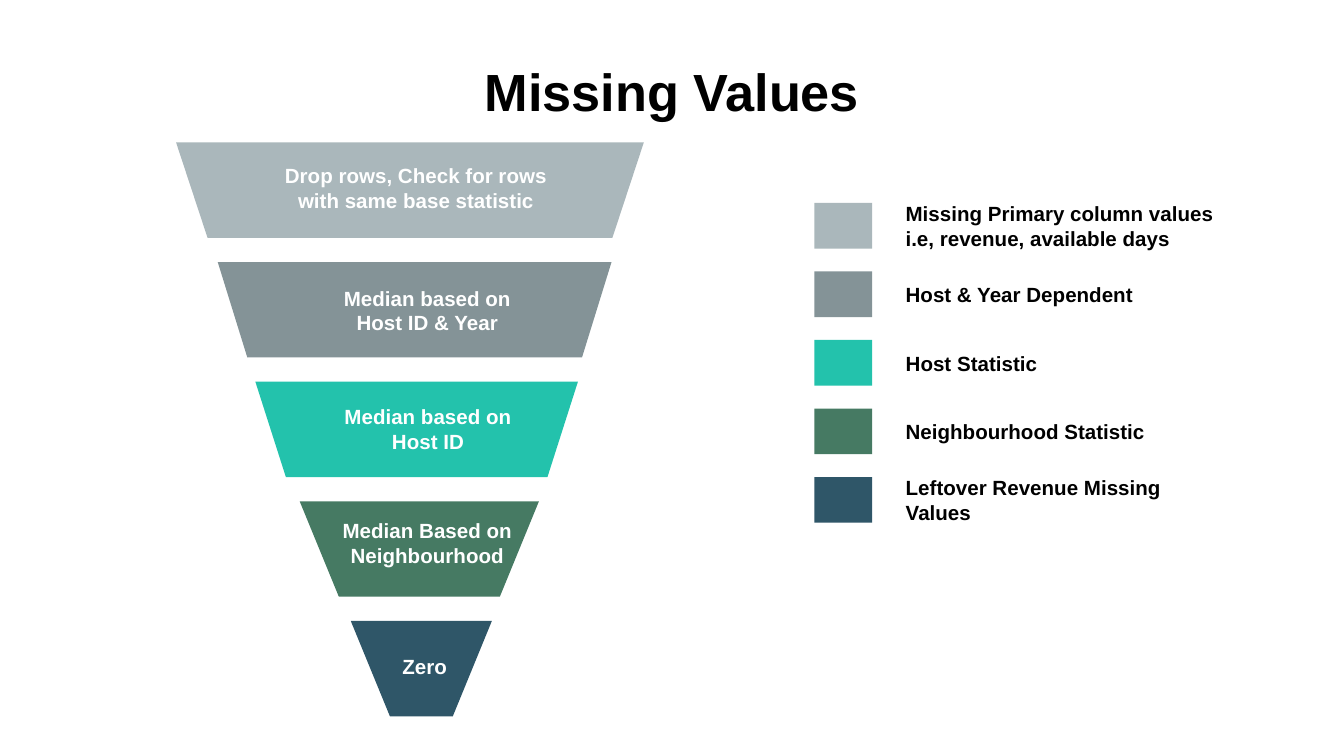
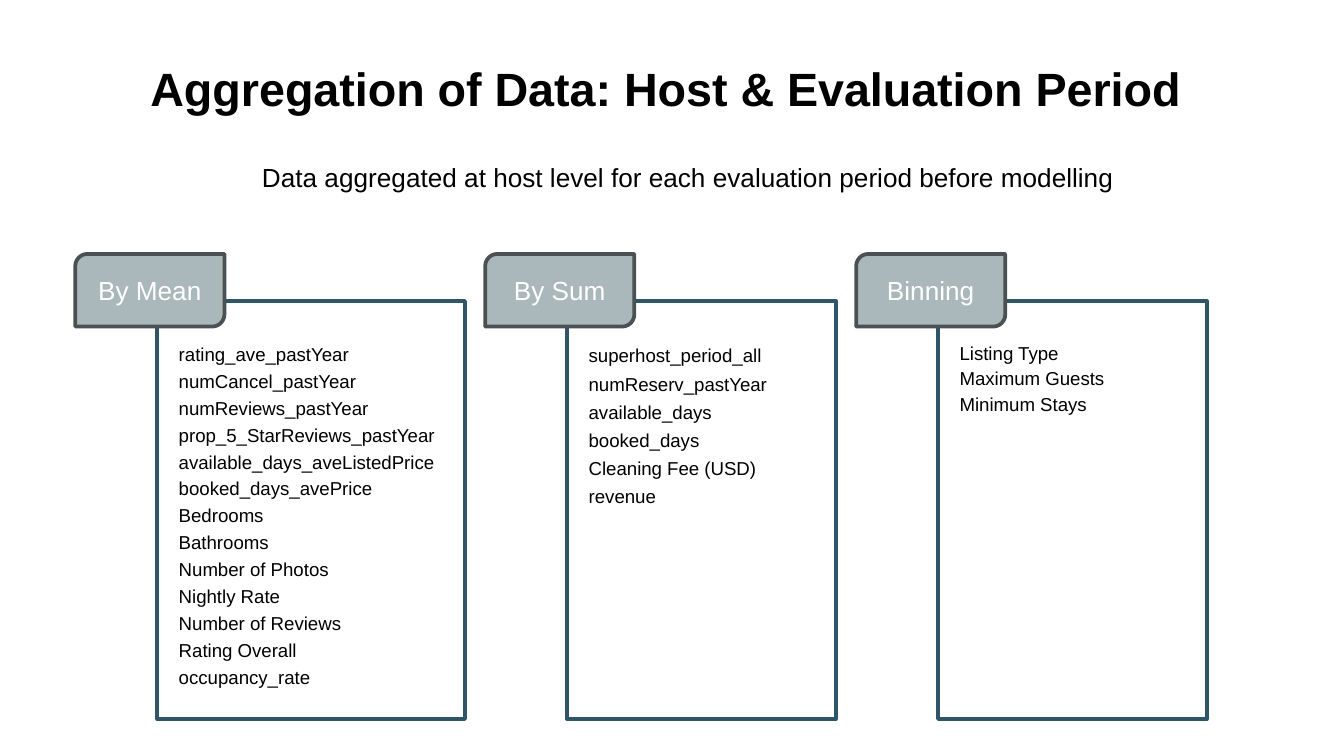
from pptx import Presentation
from pptx.dml.color import RGBColor
from pptx.enum.shapes import MSO_SHAPE
from pptx.enum.text import MSO_ANCHOR, MSO_AUTO_SIZE, PP_ALIGN
from pptx.oxml.ns import qn
from pptx.util import Inches, Pt

RECT, TRAP = MSO_SHAPE.RECTANGLE, MSO_SHAPE.TRAPEZOID
TAG = MSO_SHAPE.ROUND_2_DIAG_RECTANGLE
LEFT, MID = PP_ALIGN.LEFT, PP_ALIGN.CENTER
CENTRE, BOTTOM = MSO_ANCHOR.MIDDLE, MSO_ANCHOR.BOTTOM
NO_FIT = MSO_AUTO_SIZE.NONE
NO_GRID = "{2D5ABB26-0587-4C30-8999-92F81FD0307C}"

WIDE = 10
HIGH = WIDE * 9 / 16
FONT, BLACK, WHITE = "Arial", "000000", "FFFFFF"
SILVER, GREY, TEAL, GREEN, NAVY = "AAB7BB", "849397", "23C2AC", "467A63", "2F5668"
EDGE = "4B5052"

# colour, bar left and width, slant, label, label left, middle and width
FUNNEL = [
    (SILVER, 1.31, 3.48, .33, "Drop rows, Check for rows with same base statistic",
     1.94, 1.4, 2.31),
    (GREY, 1.62, 2.93, .31, "Median based on Host ID & Year", 2.4, 2.31, 1.56),
    (TEAL, 1.9, 2.4, .32, "Median based on Host ID", 2.36, 3.19, 1.65),
    (GREEN, 2.23, 1.78, .41, "Median Based on Neighbourhood", 2.4, 4.04, 1.56),
    (NAVY, 2.61, 1.05, .41, "Zero", 2.66, 4.96, 1),
]
BAR_TOP, BAR_STEP, BAR_H, LABEL_H = 1.06, .89, .71, .4

# colour, text, text width, lines
LEGEND = [
    (SILVER, "Missing Primary column values\ni.e, revenue, available days", 2.57, 2),
    (GREY, "Host & Year Dependent", 2.03, 1),
    (TEAL, "Host Statistic", 1.29, 1),
    (GREEN, "Neighbourhood Statistic", 2.13, 1),
    (NAVY, "Leftover Revenue Missing Values", 2.22, 2),
]
KEY_X, KEY_TOP, KEY_STEP, KEY_W, KEY_H = 6.06, 1.51, .51, .43, .34

# tag, panel left and width, list width, row heights, list
GROUPS = [
    ("By Mean", 1.17, 2.29, 2.14, [.2] * 13, [
        "rating_ave_pastYear", "numCancel_pastYear", "numReviews_pastYear",
        "prop_5_StarReviews_pastYear", "available_days_aveListedPrice",
        "booked_days_avePrice", "Bedrooms", "Bathrooms", "Number of Photos",
        "Nightly Rate", "Number of Reviews", "Rating Overall", "occupancy_rate"]),
    ("By Sum", 4.22, 2, 1.72, [.21] * 6 + [.19] * 7, [
        "superhost_period_all", "numReserv_pastYear", "available_days",
        "booked_days", "Cleaning Fee (USD)", "revenue"]),
    ("Binning", 6.98, 2, 1.72, [.19] * 7, [
        "Listing Type", "Maximum Guests", "Minimum Stays"]),
]
PANEL_TOP, PANEL_H = 2.24, 3.11


def rgb(code):
    return RGBColor.from_string(code)


def put(item, values):
    for name, value in values.items():
        setattr(item, name, value)


def write(frame, text, size, color=BLACK, bold=False, align=LEFT):
    for num, line in enumerate(text.split("\n")):
        para = frame.add_paragraph() if num else frame.paragraphs[0]
        para.alignment = align
        run = para.add_run()
        run.text = line
        put(run.font, {"name": FONT, "size": Pt(size), "bold": bold})
        run.font.color.rgb = rgb(color)


def label(slide, x, y, w, h, text, size, **look):
    frame = slide.shapes.add_textbox(*map(Inches, (x, y, w, h))).text_frame
    put(frame, {"word_wrap": True, "vertical_anchor": CENTRE})
    write(frame, text, size, **look)


def block(slide, kind, x, y, w, h, fill, line=None):
    shape = slide.shapes.add_shape(kind, *map(Inches, (x, y, w, h)))
    shape.shadow.inherit = False
    shape.fill.solid()
    shape.fill.fore_color.rgb = rgb(fill)
    if line:
        shape.line.color.rgb = rgb(line)
        shape.line.width = Pt(2)
    else:
        shape.line.fill.background()
    return shape


def listing(slide, x, y, w, rows, items):
    """Add a one-column table without grid; rows past the items stay empty."""
    size = map(Inches, (x, y, w, sum(rows)))
    table = slide.shapes.add_table(len(rows), 1, *size).table
    put(table, {"first_row": False, "horz_banding": False})
    table._tbl.tblPr.find(qn("a:tableStyleId")).text = NO_GRID
    edge = Inches(.01)
    for num, high in enumerate(rows):
        table.rows[num].height = Inches(high)
        cell = table.cell(num, 0)
        put(cell, {"margin_left": edge, "margin_right": edge, "margin_top": edge,
                   "margin_bottom": 0, "vertical_anchor": BOTTOM})
        cell.fill.background()
        write(cell.text_frame, items[num] if num < len(items) else "", 10)


def start(deck, text, size, top):
    slide = deck.slides.add_slide(deck.slide_layouts[5])
    title = slide.shapes.title
    put(title, {"left": Inches(.5), "top": Inches(top),
                "width": Inches(WIDE - 1), "height": Inches(.41)})
    put(title.text_frame, {"auto_size": NO_FIT, "word_wrap": True,
                           "vertical_anchor": CENTRE})
    write(title.text_frame, text, size, bold=True, align=MID)
    return slide


def missing(deck):
    slide = start(deck, "Missing Values", 28, .47)
    for num, (color, x, w, slant, text, left, mid, wide) in enumerate(FUNNEL):
        bar = block(slide, TRAP, x, BAR_TOP + num * BAR_STEP, w, BAR_H, color)
        bar.rotation = 180
        bar.adjustments[0] = slant
        label(slide, left, mid - LABEL_H / 2, wide, LABEL_H, text, 11,
              color=WHITE, bold=True, align=MID)
    for num, (color, text, wide, lines) in enumerate(LEGEND):
        y = KEY_TOP + num * KEY_STEP
        block(slide, RECT, KEY_X, y, KEY_W, KEY_H, color)
        high = .11 + .18 * lines
        label(slide, KEY_X + .58, y + (KEY_H - high) / 2, wide, high,
              text, 11, bold=True)


def grouping(deck):
    slide = start(deck, "Aggregation of Data: Host & Evaluation Period ", 25, .45)
    label(slide, .56, 1.15, 9.12, .34,
          "Data aggregated at host level for each evaluation period before modelling",
          14, align=MID)
    for name, x, w, wide, rows, items in GROUPS:
        block(slide, RECT, x, PANEL_TOP, w, PANEL_H, WHITE, NAVY)
        tag = block(slide, TAG, x - .61, PANEL_TOP - .35, 1.11, .54, SILVER, EDGE)
        tag.text_frame.vertical_anchor = CENTRE
        write(tag.text_frame, name, 14, WHITE, align=MID)
        listing(slide, x + .15, PANEL_TOP + .28, wide, rows, items)


def main():
    deck = Presentation()
    put(deck, {"slide_width": Inches(WIDE), "slide_height": Inches(HIGH)})
    missing(deck)
    grouping(deck)
    deck.save("out.pptx")


if __name__ == "__main__":
    main()
